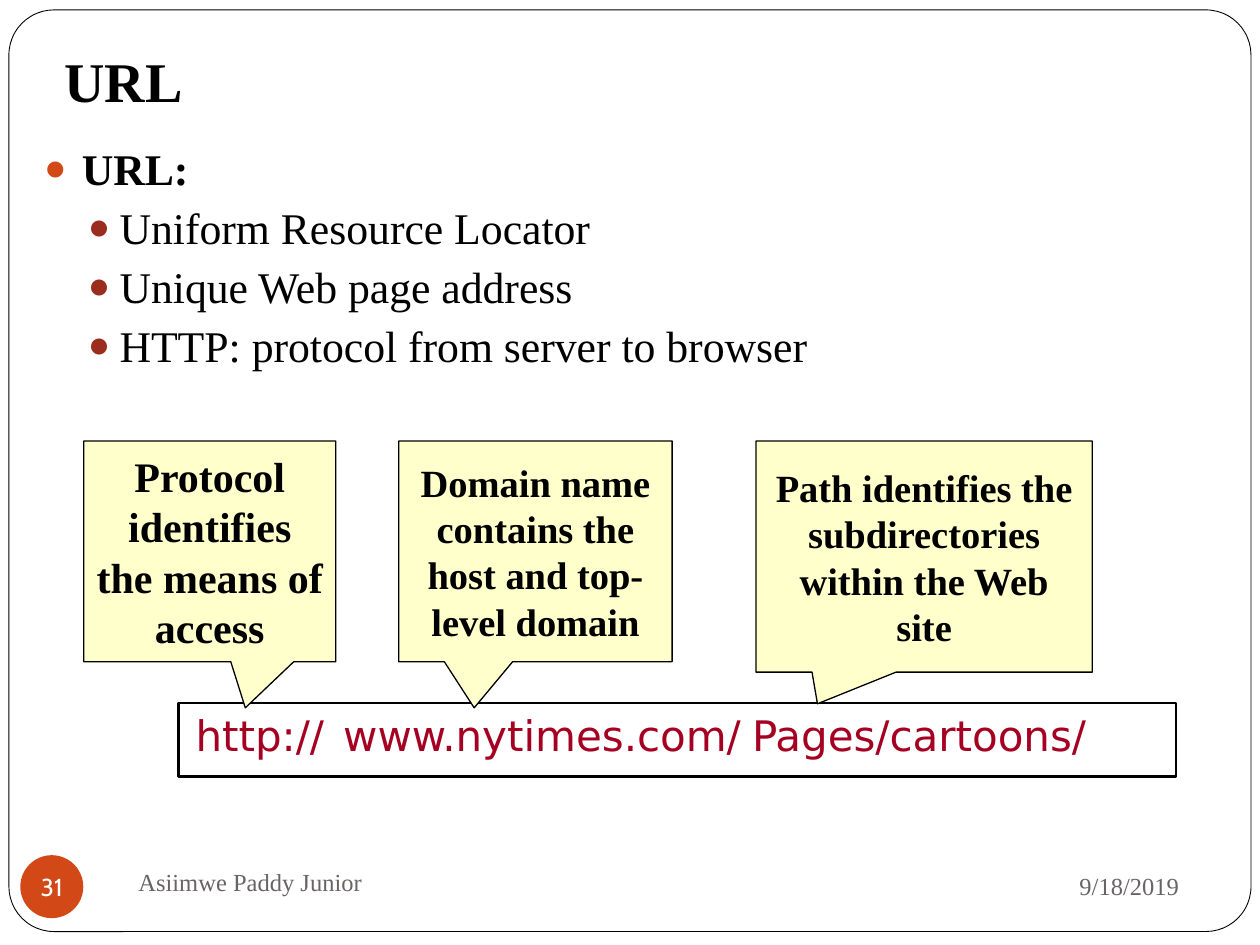
from pptx import Presentation
from pptx.dml.color import RGBColor
from pptx.enum.shapes import MSO_SHAPE as SHAPE
from pptx.enum.text import MSO_ANCHOR as ANCHOR, PP_ALIGN as ALIGN
from pptx.oxml import parse_xml
from pptx.oxml.ns import nsdecls
from pptx.util import Cm, Pt

COLORS = {
    "black": "000000", "white": "FFFFFF", "orange": "D34817",
    "brick": "9B2D1F", "note": "FFFFCC", "crimson": "A50021",
    "gray": "696464",
}
SERIF, SANS, BADGE = "Times New Roman", "DejaVu Sans", "Cabin"


def rgb(name):
    return RGBColor.from_string(COLORS[name])


def add_run(p, text, size, color="black", font=SERIF, bold=False):
    r = p.add_run()
    r.text = text
    r.font.size = Pt(size)
    r.font.name = font
    r.font.bold = bold
    r.font.color.rgb = rgb(color)


def add_label(slide, box, text, size, align=ALIGN.LEFT, anchor=ANCHOR.MIDDLE,
              wrap=True, **style):
    sp = slide.shapes.add_textbox(*map(Cm, box))
    tf = sp.text_frame
    tf.word_wrap = wrap
    tf.vertical_anchor = anchor
    tf.paragraphs[0].alignment = align
    add_run(tf.paragraphs[0], text, size, **style)
    return tf


def add_box(slide, kind, box, fill, line_width=None):
    sp = slide.shapes.add_shape(kind, *map(Cm, box))
    sp.shadow.inherit = False
    sp.fill.solid()
    sp.fill.fore_color.rgb = rgb(fill)
    if line_width:
        sp.line.color.rgb = rgb("black")
        sp.line.width = Pt(line_width)
    else:
        sp.line.fill.background()
    return sp


def set_bullet(p, color, left, hang):
    pPr = p._p.get_or_add_pPr()
    pPr.set("marL", str(Cm(left)))
    pPr.set("indent", str(-Cm(hang)))
    for xml in (
        f'<a:buClr {nsdecls("a")}><a:srgbClr val="{COLORS[color]}"/></a:buClr>',
        f'<a:buSzPct {nsdecls("a")} val="85000"/>',
        f'<a:buFont {nsdecls("a")} typeface="{SERIF}"/>',
        f'<a:buChar {nsdecls("a")} char="●"/>',
    ):
        pPr.append(parse_xml(xml))


def add_frame(slide, box):
    sp = add_box(slide, SHAPE.ROUNDED_RECTANGLE, box, "white", 0.5)
    sp.adjustments[0] = 0.049


def add_title(slide, box, text):
    tf = add_label(slide, box, text, 32, anchor=ANCHOR.BOTTOM, bold=True)
    tf.margin_bottom = Cm(0.25)


def add_bullets(slide, box, heading, items):
    tf = add_label(slide, box, heading, 25, anchor=ANCHOR.TOP, bold=True)
    set_bullet(tf.paragraphs[0], "orange", 0.76, 0.76)
    for item in items:
        p = tf.add_paragraph()
        p.level = 1
        p.space_before = Pt(3.7)
        set_bullet(p, "brick", 1.52, 0.64)
        add_run(p, item, 25)


def add_url_bar(slide, box, parts):
    left, top = box[:2]
    add_box(slide, SHAPE.RECTANGLE, box, "white", 1.5)
    for dx, w, text in parts:
        add_label(slide, (left + dx, top, w, 1.27), text, 24, ALIGN.CENTER,
                  wrap=False, color="crimson", font=SANS)


def add_callouts(slide, box, notes):
    left, top = box
    for dx, w, h, tip, size, text in notes:
        sp = add_box(slide, SHAPE.RECTANGULAR_CALLOUT,
                     (left + dx, top, w, h), "note", 0.75)
        sp.adjustments[0], sp.adjustments[1] = tip
        tf = sp.text_frame
        tf.word_wrap = True
        tf.vertical_anchor = ANCHOR.MIDDLE
        tf.paragraphs[0].alignment = ALIGN.CENTER
        add_run(tf.paragraphs[0], text, size, bold=True)


def add_footer(slide, box, number, author, date):
    left, top, width, height = box
    # Number badge
    sp = add_box(slide, SHAPE.OVAL, (left, top + 0.1, height, height), "orange")
    tf = sp.text_frame
    tf.word_wrap = False
    tf.margin_left = tf.margin_right = tf.margin_top = tf.margin_bottom = 0
    tf.vertical_anchor = ANCHOR.MIDDLE
    tf.paragraphs[0].alignment = ALIGN.CENTER
    add_run(tf.paragraphs[0], number, 14, "white", BADGE)
    # Author and date
    add_label(slide, (left + 2.13, top, 11, height), author, 14, color="gray")
    add_label(slide, (left + width - 6.88, top + 0.05, 6.88, 1.32), date, 14,
              ALIGN.RIGHT, color="gray")


def main():
    prs = Presentation()
    prs.slide_width, prs.slide_height = Cm(25.4), Cm(19.05)
    slide = prs.slides.add_slide(prs.slide_layouts[6])

    add_frame(slide, (0.18, 0.2, 25.04, 18.58))
    add_title(slide, (1.05, 0.76, 23.06, 1.78), "URL")
    add_bullets(slide, (0.64, 2.74, 23.7, 15.04), "URL:", [
        "Uniform Resource Locator",
        "Unique Web page address",
        "HTTP: protocol from server to browser",
    ])

    # Address parts: offset, width, text
    add_url_bar(slide, (3.6, 14.17, 20.11, 1.49), [
        (-0.06, 3.4, "http://"),
        (2.96, 8.74, "www.nytimes.com/"),
        (11.22, 7.42, "Pages/cartoons/"),
    ])

    # Notes: offset, width, height, pointer tip, text size, text
    add_callouts(slide, (1.69, 8.89), [
        (0, 5.08, 4.45, (0.141, 0.709), 24,
         "Protocol identifies the means of access"),
        (6.35, 5.51, 4.45, (-0.224, 0.709), 22,
         "Domain name contains the host and top-level domain"),
        (13.55, 6.78, 4.66, (-0.317, 0.637), 22,
         "Path identifies the subdirectories within the Web site"),
    ])

    add_footer(slide, (0.41, 17.14, 23.61, 1.27),
               "31", "Asiimwe Paddy Junior", "9/18/2019")
    prs.save("out.pptx")


if __name__ == "__main__":
    main()
